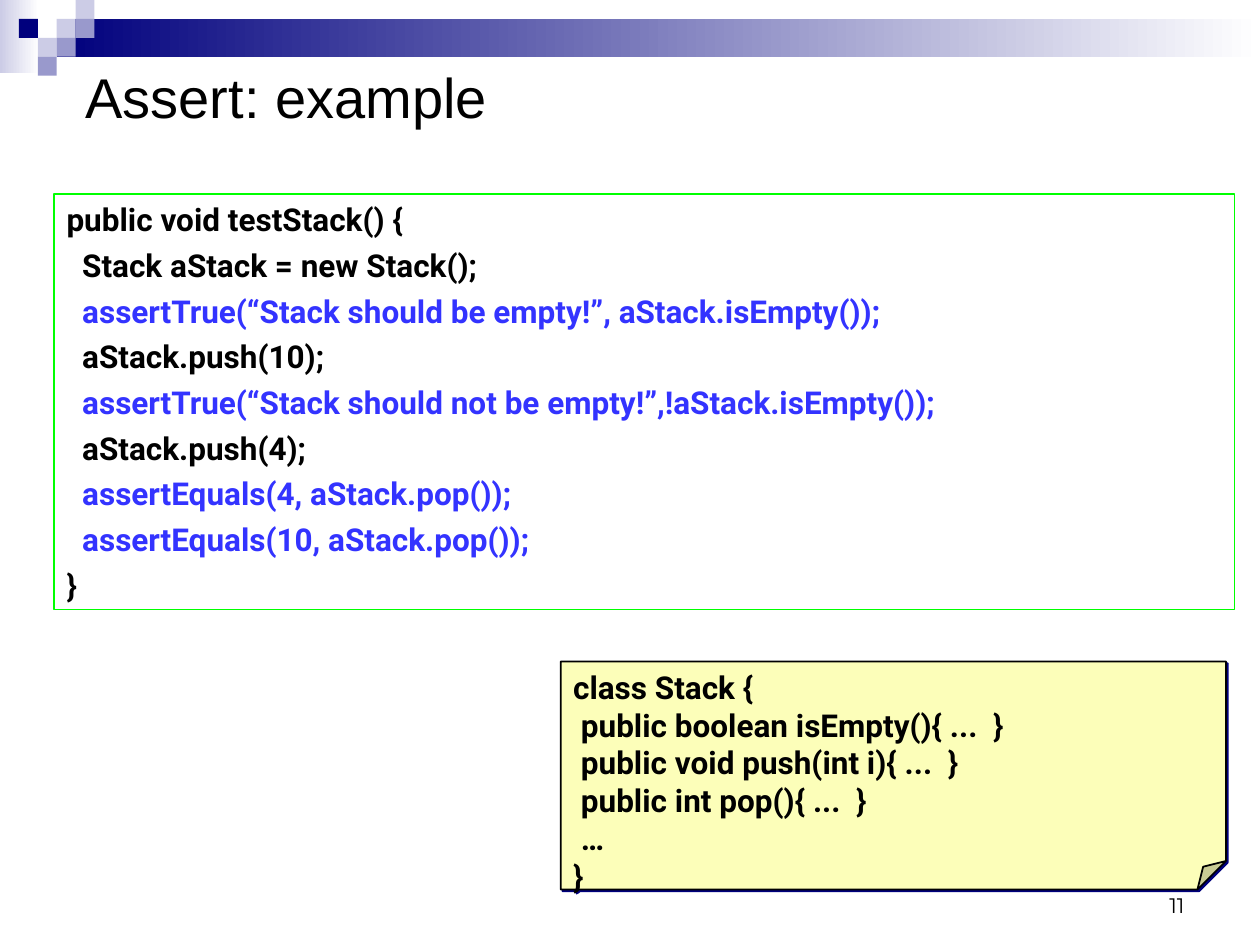
from lxml import etree
from pptx import Presentation
from pptx.dml.color import RGBColor
from pptx.enum.shapes import MSO_SHAPE
from pptx.enum.text import MSO_ANCHOR, PP_ALIGN
from pptx.oxml.ns import qn
from pptx.util import Inches, Pt

RECTANGLE = MSO_SHAPE.RECTANGLE
FOLDED_CORNER = MSO_SHAPE.FOLDED_CORNER
TOP, MIDDLE, BOTTOM = MSO_ANCHOR.TOP, MSO_ANCHOR.MIDDLE, MSO_ANCHOR.BOTTOM
LEFT, RIGHT = PP_ALIGN.LEFT, PP_ALIGN.RIGHT

COLORS = {
    "white": "FFFFFF",
    "black": "000000",
    "navy": "00007D",
    "lavender": "9999CC",
    "pale": "CCCCE6",
    "assertion": "3333FF",
    "border": "00FF00",
    "note": "FCFEB9",
}


def color(name):
    return RGBColor.from_string(COLORS[name])


def write(shape, text, size, font, bold=False, align=LEFT, anchor=TOP,
          space_before=0, highlight=None):
    frame = shape.text_frame
    frame.word_wrap = True
    frame.vertical_anchor = anchor
    for index, line in enumerate(text.split("\n")):
        paragraph = frame.paragraphs[0] if index == 0 else frame.add_paragraph()
        paragraph.alignment = align
        if index and space_before:
            paragraph.space_before = Pt(space_before)
        run = paragraph.add_run()
        run.text = line
        run.font.size = Pt(size)
        run.font.name = font
        run.font.bold = bold
        marked = highlight and line.strip().startswith(highlight)
        run.font.color.rgb = color("assertion" if marked else "black")


prs = Presentation()
prs.slide_width, prs.slide_height = Inches(10), Inches(7.5)
slide = prs.slides.add_slide(prs.slide_layouts[6])
shapes = slide.shapes

bands = [(0, 0, 0.31, 0.58, "pale"), (0.45, 0.15, 9.55, 0.3, "navy")]
for left, top, width, height, start in bands:
    band = shapes.add_shape(RECTANGLE, Inches(left), Inches(top), Inches(width), Inches(height))
    band.shadow.inherit = False
    band.line.fill.background()
    band.fill.gradient()
    band.fill.gradient_angle = 0
    for stop, name, position in zip(band.fill.gradient_stops, (start, "white"), (0, 1)):
        stop.color.rgb = color(name)
        stop.position = position

tile = 0.15
mosaic = [
    (3, 1, "pale"), (4, 0, "pale"), (4, 1, "lavender"), (2, 2, "pale"),
    (1, 1, "navy"), (3, 2, "lavender"), (2, 3, "lavender"),
]
for column, row, name in mosaic:
    square = shapes.add_shape(RECTANGLE, Inches(column * tile), Inches(row * tile),
                              Inches(tile), Inches(tile))
    square.shadow.inherit = False
    square.line.fill.background()
    square.fill.solid()
    square.fill.fore_color.rgb = color(name)

title = shapes.add_textbox(Inches(0.58), Inches(0.44), Inches(9.42), Inches(0.64))
write(title, "Assert: example", size=32, font="Arial", anchor=MIDDLE)

test_code = shapes.add_shape(RECTANGLE, Inches(0.43), Inches(1.54), Inches(9.37), Inches(3.3))
test_code.shadow.inherit = False
test_code.fill.background()
test_code.line.color.rgb = color("border")
test_code.line.width = Pt(0.75)
write(test_code, """public void testStack() {
  Stack aStack = new Stack();
  assertTrue(“Stack should be empty!”, aStack.isEmpty());
  aStack.push(10);
  assertTrue(“Stack should not be empty!”,!aStack.isEmpty());
  aStack.push(4);
  assertEquals(4, aStack.pop());
  assertEquals(10, aStack.pop());
}""", size=18, font="Roboto", bold=True, space_before=4.5, highlight="assert")

stack_class = shapes.add_shape(FOLDED_CORNER, Inches(4.45), Inches(5.25), Inches(5.28), Inches(1.81))
fold = stack_class.element.spPr.find(qn("a:prstGeom")).find(qn("a:avLst"))
etree.SubElement(fold, qn("a:gd"), name="adj", fmla="val 12500")
stack_class.fill.solid()
stack_class.fill.fore_color.rgb = color("note")
stack_class.line.color.rgb = color("black")
stack_class.line.width = Pt(1)
stack_class.shadow.inherit = False
effects = stack_class.element.spPr.find(qn("a:effectLst"))
shadow = etree.SubElement(effects, qn("a:outerShdw"), dist=str(Pt(1.4)), dir="2700000",
                          algn="ctr", rotWithShape="0")
etree.SubElement(shadow, qn("a:srgbClr"), val=COLORS["navy"])
write(stack_class, """class Stack {
 public boolean isEmpty(){ ...  }
 public void push(int i){ ...  }
 public int pop(){ ...  }
 …
}""", size=18, font="Roboto", bold=True)

page_number = shapes.add_textbox(Inches(7.17), Inches(6.83), Inches(2.33), Inches(0.5))
write(page_number, "11", size=12, font="Montserrat", align=RIGHT, anchor=BOTTOM)

prs.save("out.pptx")
